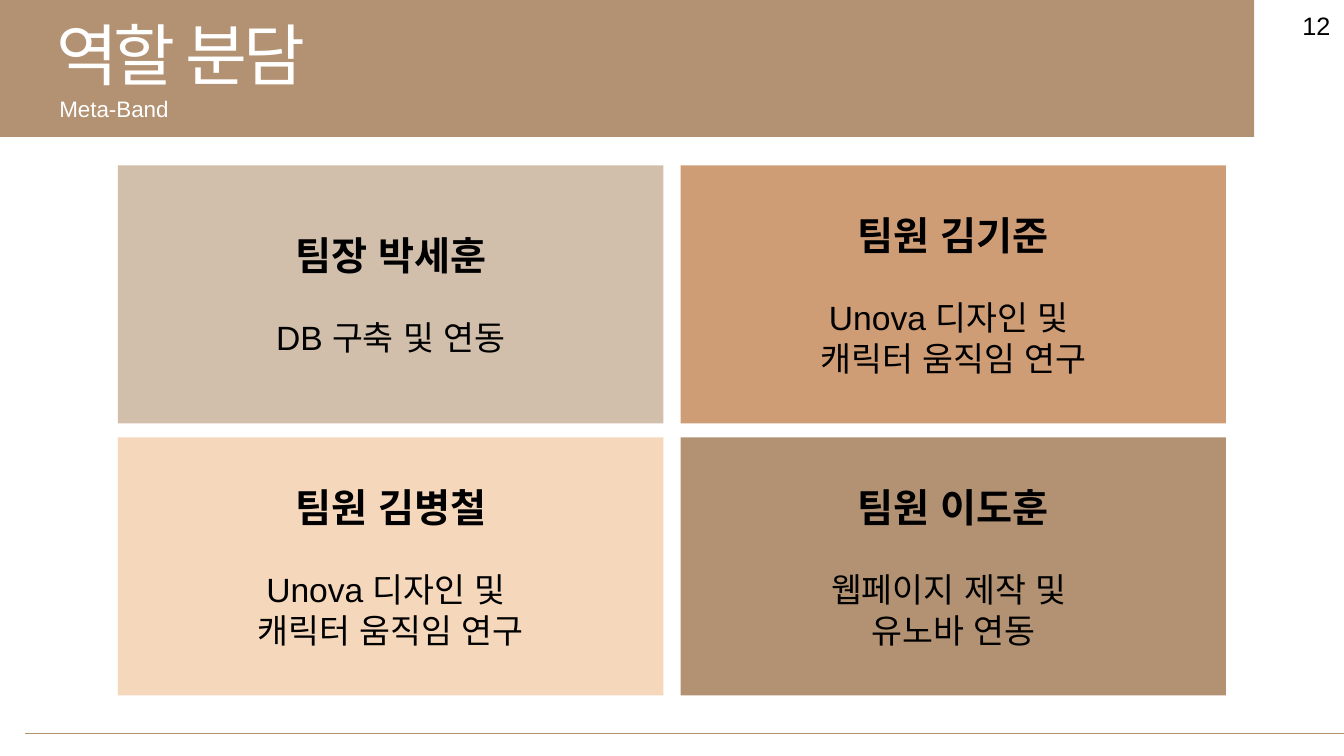
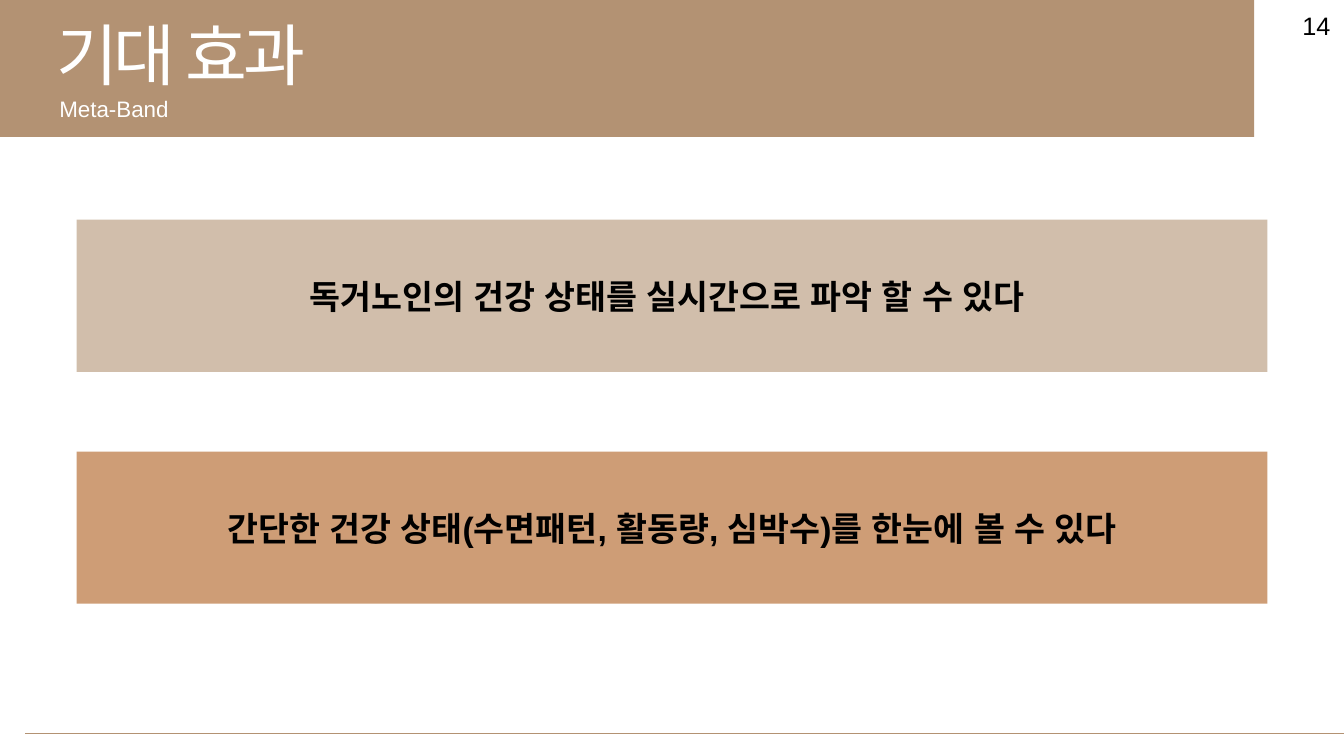
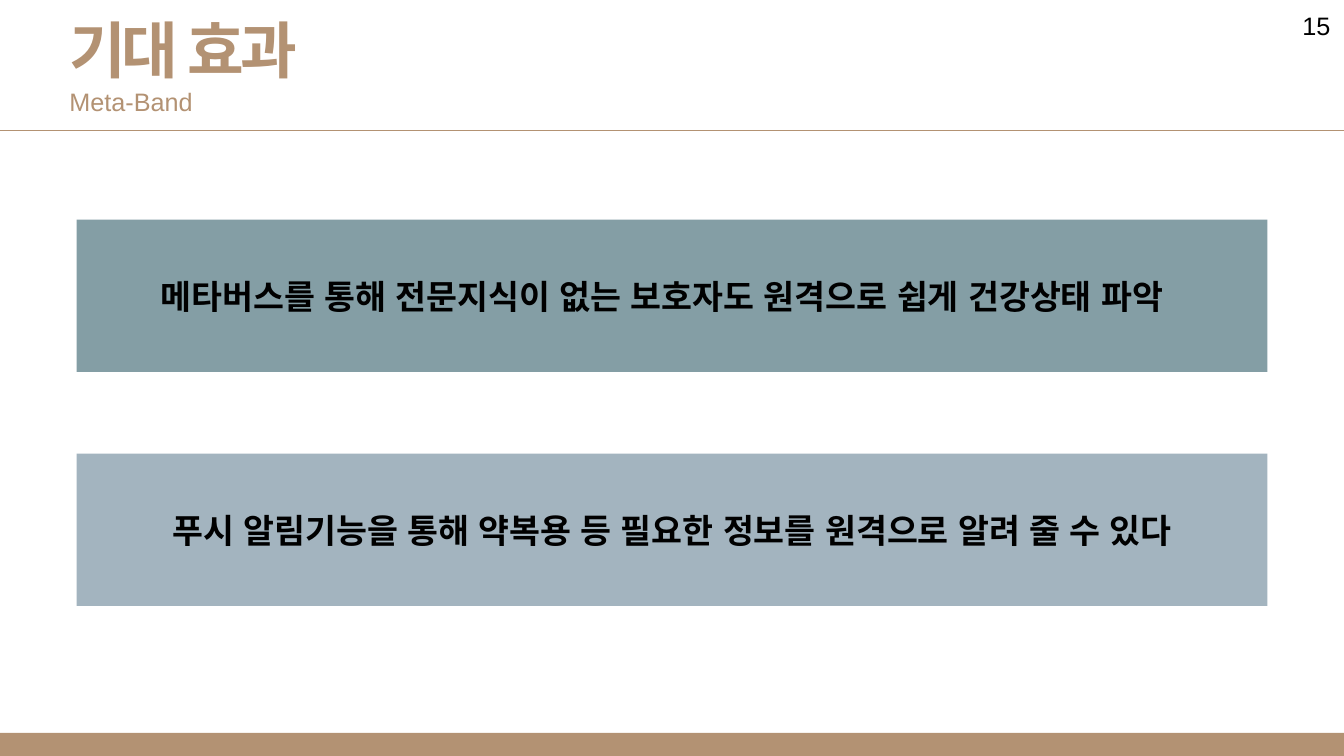
from lxml import etree
from pptx import Presentation
from pptx import util as u
from pptx.dml.color import RGBColor
from pptx.enum import lang, shapes, text
from pptx.oxml import ns

W, H = 13.33, 7.5
FONT = "Arial"
BROWN, SAND, COPPER, PEACH = "B39273", "D1BEAB", "CE9D76", "F5D7BB"
TEAL, STEEL, WHITE, BLACK = "849EA5", "A3B4BF", "FFFFFF", "000000"
SUBTITLE = "Meta-Band"

ROLES = [
    ("팀장 박세훈", ["DB 구축 및 연동"], SAND),
    ("팀원 김기준", ["Unova 디자인 및 ", "캐릭터 움직임 연구"], COPPER),
    ("팀원 김병철", ["Unova 디자인 및 ", "캐릭터 움직임 연구"], PEACH),
    ("팀원 이도훈", ["웹페이지 제작 및 ", "유노바 연동"], BROWN),
]
EFFECTS = [
    ("독거노인의 건강 상태를 실시간으로 파악 할 수 있다", SAND, 0.1),
    ("간단한 건강 상태(수면패턴, 활동량, 심박수)를 한눈에 볼 수 있다", COPPER, 0),
]
REMOTE_EFFECTS = [
    ("메타버스를 통해 전문지식이 없는 보호자도 원격으로 쉽게 건강상태 파악", TEAL, 0.2),
    ("푸시 알림기능을 통해 약복용 등 필요한 정보를 원격으로 알려 줄 수 있다", STEEL, 0),
]

HEAD = dict(size=28, bold=True, after=28)
BODY = dict(size=24)
STRONG = dict(size=24, bold=True)
CARDS = dict(left=1.17, top=1.64, w=5.41, h=2.56, gap_x=0.17, gap_y=0.14)
BARS = dict(left=0.76, top=2.18, w=11.81, h=1.51)


def rgb(value):
    return RGBColor.from_string(value)


def inches(*values):
    return [u.Inches(v) for v in values]


def write(tf, lines, align=None):
    for i, (words, style) in enumerate(lines):
        p = tf.paragraphs[0] if i == 0 else tf.add_paragraph()
        p.alignment = align
        p.space_after = u.Pt(style.get("after", 0))
        r = p.add_run()
        r.text = words
        values = dict(name=FONT, size=u.Pt(style["size"]), bold=style.get("bold", False),
                      language_id=lang.MSO_LANGUAGE_ID.KOREAN)
        for name, value in values.items():
            setattr(r.font, name, value)
        r.font.color.rgb = rgb(style.get("color", BLACK))
        rpr = r.font._element
        etree.SubElement(rpr, ns.qn("a:ea")).set("typeface", FONT)
        if "spacing" in style:
            rpr.set("spc", str(style["spacing"] * 100))


def block(s, at, fill, lines=(), pad=0):
    sp = s.shapes.add_shape(shapes.MSO_SHAPE.RECTANGLE, *inches(*at))
    sp.shadow.inherit = False
    sp.fill.solid()
    sp.fill.fore_color.rgb = rgb(fill)
    sp.line.fill.background()
    tf = sp.text_frame
    tf.vertical_anchor = text.MSO_ANCHOR.MIDDLE
    tf.margin_right = u.Inches(0.1 + pad)
    write(tf, lines, text.PP_ALIGN.CENTER)


def label(s, at, words, style, wrap=False, align=None):
    tf = s.shapes.add_textbox(*inches(*at)).text_frame
    tf.word_wrap = wrap
    tf.auto_size = text.MSO_AUTO_SIZE.SHAPE_TO_FIT_TEXT
    write(tf, [(words, style)], align)


def rule(s, left, y):
    line = s.shapes.add_connector(shapes.MSO_CONNECTOR.STRAIGHT, *inches(left, y, W, y))
    line.line.color.rgb = rgb(BROWN)
    line.line.width = u.Pt(0.5)
    etree.SubElement(line._element.spPr, ns.qn("a:effectLst"))


def new_slide(prs, number):
    s = prs.slides.add_slide(prs.slide_layouts[6])
    label(s, (12.78, 0.05, 0.55, 0.4), str(number), dict(size=18), True, text.PP_ALIGN.CENTER)
    return s


def band_frame(s, title):
    block(s, (0, 0, 12.44, 1.36), BROWN)
    rule(s, 0.25, 7.28)
    label(s, (0.46, 0.08, 2.87, 0.91), title, dict(size=48, color=WHITE, spacing=-3))
    label(s, (0.49, 0.89, 1.3, 0.37), SUBTITLE, dict(size=16, color=WHITE))


def open_frame(s, title):
    block(s, (0, 7.27, W, 0.23), BROWN)
    rule(s, 0, 1.29)
    label(s, (0.59, 0.81, 6.68, 0.4), SUBTITLE, dict(size=18, color=BROWN), True)
    label(s, (0.59, 0.07, 2.63, 0.84), title, dict(size=44, bold=True, color=BROWN, spacing=-3))


def role_cards(s):
    g = CARDS
    for i, (name, duties, fill) in enumerate(ROLES):
        row, col = divmod(i, 2)
        at = (g["left"] + col * (g["w"] + g["gap_x"]),
              g["top"] + row * (g["h"] + g["gap_y"]), g["w"], g["h"])
        block(s, at, fill, [(name, HEAD)] + [(duty, BODY) for duty in duties])


def effect_bars(s, effects, pitch):
    for i, (words, fill, pad) in enumerate(effects):
        at = (BARS["left"], BARS["top"] + i * pitch, BARS["w"], BARS["h"])
        block(s, at, fill, [(words, STRONG)], pad)


def main():
    prs = Presentation()
    prs.slide_width, prs.slide_height = inches(W, H)

    s = new_slide(prs, 12)
    band_frame(s, "역할 분담")
    role_cards(s)

    s = new_slide(prs, 14)
    band_frame(s, "기대 효과")
    effect_bars(s, EFFECTS, 2.3)

    s = new_slide(prs, 15)
    open_frame(s, "기대 효과")
    effect_bars(s, REMOTE_EFFECTS, 2.32)

    prs.save("out.pptx")


if __name__ == "__main__":
    main()
